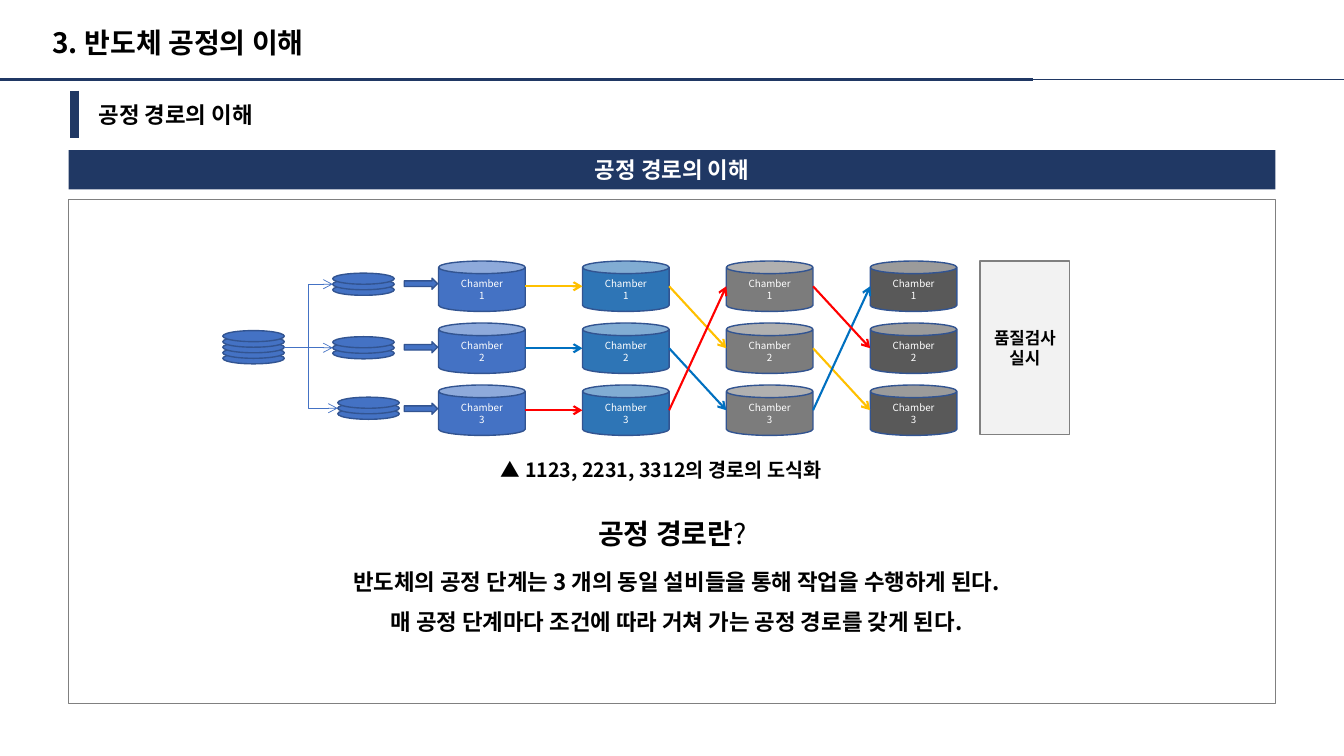
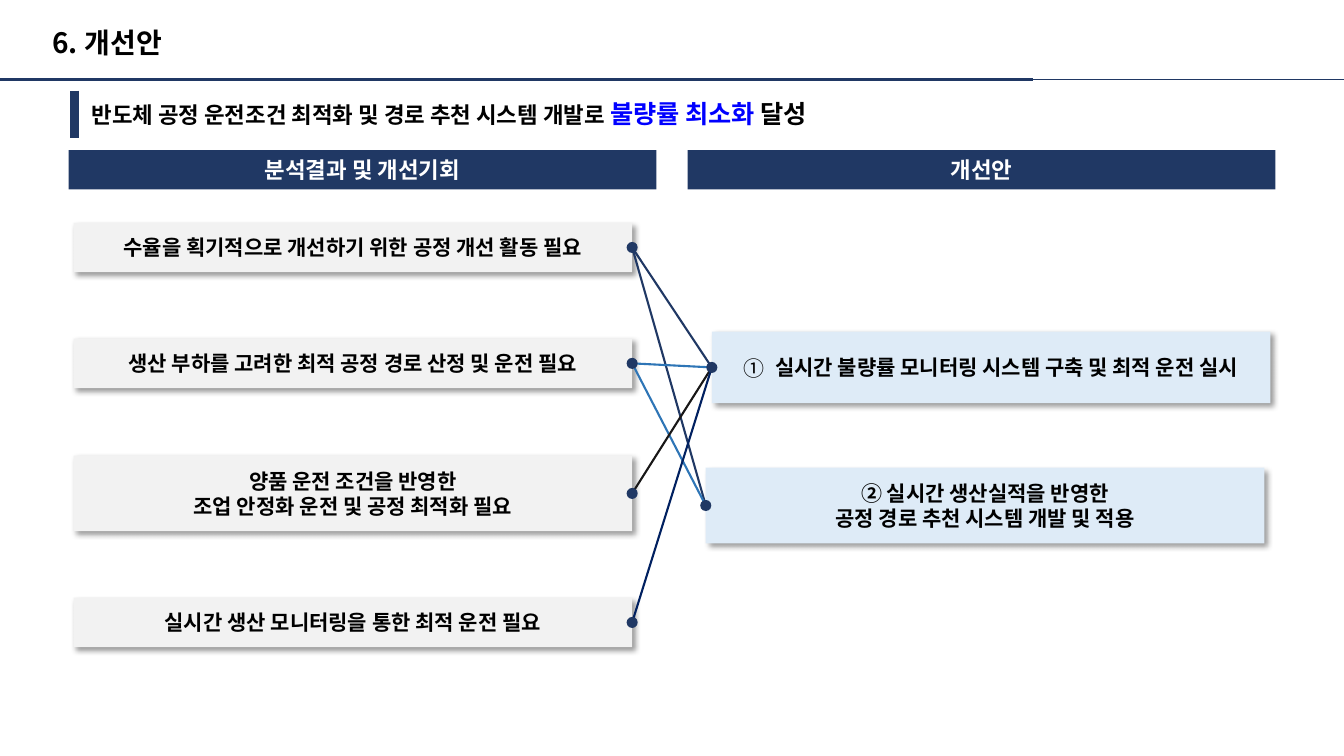
from lxml import etree
from pptx import Presentation, util as u
from pptx.dml.color import RGBColor
from pptx.enum import shapes, text
from pptx.oxml import ns

FONT = "Noto Sans CJK KR"
WIDTH, HEIGHT = 13.33, 7.5
NAVY, BLACK, WHITE, GREY, PALE = "203864", "000000", "FFFFFF", "808080", "F2F2F2"
WAFER, OUTLINE = "4472C4", "325491"
MARGIN, GUTTER = 0.68, 0.31
BODY = WIDTH - 2 * MARGIN
RULE_Y, BAND_TOP, BAND_H = 0.79, 1.49, 0.39
KIND = shapes.MSO_SHAPE
CENTER, LEFT = text.PP_ALIGN.CENTER, text.PP_ALIGN.LEFT

# Process route page
STEP_COLORS = [WAFER, "2E75B6", "7C7C7C", "595959"]
ROUTES = [("1123", "FFC000"), ("2231", "0070C0"), ("3312", "FF0000")]
CAN_LEFT, CAN_TOP, CAN_W, CAN_H = 4.35, 2.59, 0.86, 0.5
STEP_PITCH, CHAMBER_PITCH = 1.427, 0.615
DISC_W, DISC_H, DISC_STEP = 0.61, 0.11, 0.055
SOURCE = (2.21, 3.5, 5)  # left, top of the lowest disc, number of discs
BATCHES = [(3.3, 2.82, 3), (3.3, 3.45, 3), (3.35, 4.05, 3)]
ARROW_TOPS = [2.76, 3.39, 4.0]
BEND_X = 3.06
EXPLANATION = [
    "반도체의 공정 단계는 3 개의 동일 설비들을 통해 작업을 수행하게 된다.",
    "매 공정 단계마다 조건에 따라 거쳐 가는 공정 경로를 갖게 된다.",
]

# Improvement page: top, height, lines
FINDINGS = [
    (2.21, 0.49, ["수율을 획기적으로 개선하기 위한 공정 개선 활동 필요"]),
    (3.36, 0.49, ["생산 부하를 고려한 최적 공정 경로 산정 및 운전 필요"]),
    (4.52, 0.75, ["양품 운전 조건을 반영한", "조업 안정화 운전 및 공정 최적화 필요"]),
    (5.93, 0.49, ["실시간 생산 모니터링을 통한 최적 운전 필요"]),
]
# left, top, height, lines
PLANS = [
    (7.06, 3.29, 0.71, ["실시간 불량률 모니터링 시스템 구축 및 최적 운전 실시"]),
    (7.0, 4.64, 0.75, ["② 실시간 생산실적을 반영한", "공정 경로 추천 시스템 개발 및 적용"]),
]
# finding, plan, colour
LINKS = [(0, 1, NAVY), (0, 0, NAVY), (1, 1, "2E75B6"), (1, 0, "2E75B6"),
         (2, 0, "181717"), (3, 0, "002060")]
CARD_LEFT, CARD_W, DOT = 0.73, 5.54, 0.11


def rgb(value):
    return RGBColor.from_string(value)


def inches(*values):
    return [u.Inches(value) for value in values]


def add_xml(parent, tag, **attributes):
    return etree.SubElement(parent, ns.qn(tag), attributes)


def write(frame, paragraphs, size, color=BLACK, bold=True, align=CENTER, spacing=None):
    """Fill a frame; a paragraph is a string or a list of (text, overrides)."""
    frame.word_wrap = True
    for index, content in enumerate(paragraphs):
        para = frame.paragraphs[0] if index == 0 else frame.add_paragraph()
        para.alignment = align
        if spacing:
            para.line_spacing = spacing
        for words, changes in [(content, {})] if isinstance(content, str) else content:
            span = para.add_run()
            span.text = words
            font = span.font
            font.size = u.Pt(changes.get("size", size))
            font.bold = changes.get("bold", bold)
            font.color.rgb = rgb(changes.get("color", color))
            font.name = FONT
            add_xml(font._element, "a:ea", typeface=FONT)


def textbox(page, at, paragraphs, size, **style):
    box = page.shapes.add_textbox(*inches(*at))
    write(box.text_frame, paragraphs, size, **style)


def shape(page, kind, at, fill=None, line=None):
    item = page.shapes.add_shape(kind, *inches(*at))
    item.shadow.inherit = False
    if fill:
        item.fill.solid()
        item.fill.fore_color.rgb = rgb(fill)
    else:
        item.fill.background()
    if line:
        item.line.color.rgb = rgb(line)
        item.line.width = u.Pt(1)
    else:
        item.line.fill.background()
    item.text_frame.vertical_anchor = text.MSO_ANCHOR.MIDDLE
    return item


def connector(page, start, end, color, width, arrow=False, bend_x=None):
    kinds = shapes.MSO_CONNECTOR
    kind = kinds.STRAIGHT if bend_x is None else kinds.ELBOW
    link = page.shapes.add_connector(kind, *inches(*start, *end))
    link.line.color.rgb = rgb(color)
    link.line.width = u.Pt(width)
    properties = link._element.spPr
    if arrow:
        add_xml(properties.find(ns.qn("a:ln")), "a:tailEnd", type="arrow")
    if bend_x is not None:
        share = (bend_x - start[0]) / (end[0] - start[0])
        guides = properties.find(ns.qn("a:prstGeom")).find(ns.qn("a:avLst"))
        add_xml(guides, "a:gd", name="adj1", fmla=f"val {round(share * 100000)}")
    add_xml(properties, "a:effectLst")
    return link


def band(page, left, width, label):
    item = shape(page, KIND.RECTANGLE, (left, BAND_TOP, width, BAND_H), NAVY)
    write(item.text_frame, [label], 16, WHITE)


def start_page(deck, title, heading, heading_at):
    page = deck.slides.add_slide(deck.slide_layouts[5])
    holder = page.shapes.title
    holder.left, holder.top, holder.width, holder.height = inches(0.42, 0.24, 9.19, 0.47)
    holder.text_frame.vertical_anchor = text.MSO_ANCHOR.TOP
    holder.text_frame.auto_size = text.MSO_AUTO_SIZE.NONE
    write(holder.text_frame, [title], 20, align=LEFT, spacing=0.9)
    for end, width in [(WIDTH, 0.75), (10.25, 2.5)]:
        connector(page, (0, RULE_Y), (end, RULE_Y), NAVY, width)
    connector(page, (0.74, 0.9), (0.74, 1.37), NAVY, 6)
    textbox(page, heading_at, [heading], 16, align=LEFT)
    return page


def wafer_stack(page, left, bottom, count):
    for level in range(count):
        at = (left, bottom - level * DISC_STEP, DISC_W, DISC_H)
        shape(page, KIND.OVAL, at, WAFER, OUTLINE)


def chamber_corner(step, chamber):
    return CAN_LEFT + step * STEP_PITCH, CAN_TOP + chamber * CHAMBER_PITCH


def route_page(deck):
    page = start_page(deck, "3. 반도체 공정의 이해", "공정 경로의 이해", (0.88, 0.95, 11.71, 0.37))
    band(page, MARGIN, BODY, "공정 경로의 이해")
    shape(page, KIND.RECTANGLE, (MARGIN, 1.98, BODY, 5), line=GREY)

    for step, color in enumerate(STEP_COLORS):
        for chamber in range(3):
            at = (*chamber_corner(step, chamber), CAN_W, CAN_H)
            can = shape(page, KIND.CAN, at, color, OUTLINE)
            write(can.text_frame, ["Chamber", str(chamber + 1)], 7, WHITE, bold=False)
    for route, color in ROUTES:
        stops = [chamber_corner(step, int(digit) - 1) for step, digit in enumerate(route)]
        for (x1, y1), (x2, y2) in zip(stops, stops[1:]):
            connector(page, (x1 + CAN_W, y1 + CAN_H / 2), (x2, y2 + CAN_H / 2),
                      color, 1.5, arrow=True)

    for top in ARROW_TOPS:
        shape(page, KIND.RIGHT_ARROW, (4.01, top, 0.33, 0.11), WAFER, OUTLINE)
    wafer_stack(page, *SOURCE)
    exit_point = (SOURCE[0] + DISC_W, 3.45)
    for left, bottom, count in BATCHES:
        wafer_stack(page, left, bottom, count)
        level = bottom == exit_point[1]
        connector(page, exit_point, (left, bottom), WAFER, 0.5, arrow=True,
                  bend_x=None if level else BEND_X)

    check = shape(page, KIND.RECTANGLE, (9.72, CAN_TOP, 0.89, 1.72), PALE, GREY)
    write(check.text_frame, ["품질검사", "실시"], 12)
    textbox(page, (4.87, 4.49, 3.58, 0.34), ["▲ 1123, 2231, 3312의 경로의 도식화"], 14, align=LEFT)
    textbox(page, (5.63, 5.07, 2.08, 0.44),
            [[("공정 경로란", {}), ("?", {"bold": False})]], 20)
    textbox(page, (1.91, 5.45, 9.6, 0.86), EXPLANATION, 16, spacing=1.5)


def card(page, at, fill, lines, bullet=None):
    item = shape(page, KIND.RECTANGLE, at, fill)
    effects = item._element.spPr.find(ns.qn("a:effectLst"))
    shadow = add_xml(effects, "a:outerShdw", blurRad=str(u.Pt(4)), dist=str(u.Pt(3)),
                     dir="2700000", algn="tl", rotWithShape="0")
    add_xml(add_xml(shadow, "a:srgbClr", val=BLACK), "a:alpha", val="40000")
    frame = item.text_frame
    if bullet:
        frame.margin_left = frame.margin_right = 0
        properties = frame.paragraphs[0]._p.get_or_add_pPr()
        indent = u.Inches(0.31)
        properties.set("marL", str(indent))
        properties.set("indent", str(-indent))
        add_xml(properties, "a:buFont", typeface=FONT)
        add_xml(properties, "a:buChar", char=bullet)
    write(frame, lines, 15)
    return item


def improvement_page(deck):
    heading = [("반도체 공정 운전조건 최적화 및 경로 추천 시스템 개발로 ", {}),
               ("불량률 최소화 ", {"size": 18, "color": "0000FF"}),
               ("달성", {"size": 18})]
    page = start_page(deck, "6. 개선안", heading, (0.81, 0.93, 12.27, 0.4))
    column = (BODY - GUTTER) / 2
    for index, label in enumerate(["분석결과 및 개선기회", "개선안"]):
        band(page, MARGIN + index * (column + GUTTER), column, label)

    findings = [card(page, (CARD_LEFT, top, CARD_W, height), PALE, lines)
                for top, height, lines in FINDINGS]
    plans = [card(page, (left, top, CARD_W, height), "DEEBF7", lines, bullet)
             for (left, top, height, lines), bullet in zip(PLANS, ["①", None])]
    for finding, plan, color in LINKS:
        link = connector(page, (0, 0), (1, 1), color, 1.5)
        link.begin_connect(findings[finding], 3)
        link.end_connect(plans[plan], 1)

    joints = [(CARD_LEFT + CARD_W, top + height / 2) for top, height, _ in FINDINGS]
    joints += [(left, top + height / 2) for left, top, height, _ in PLANS]
    for x, y in joints:
        shape(page, KIND.OVAL, (x - DOT / 2, y - DOT / 2, DOT, DOT), NAVY)


def main():
    deck = Presentation()
    deck.slide_width, deck.slide_height = inches(WIDTH, HEIGHT)
    route_page(deck)
    improvement_page(deck)
    deck.save("out.pptx")


if __name__ == "__main__":
    main()
